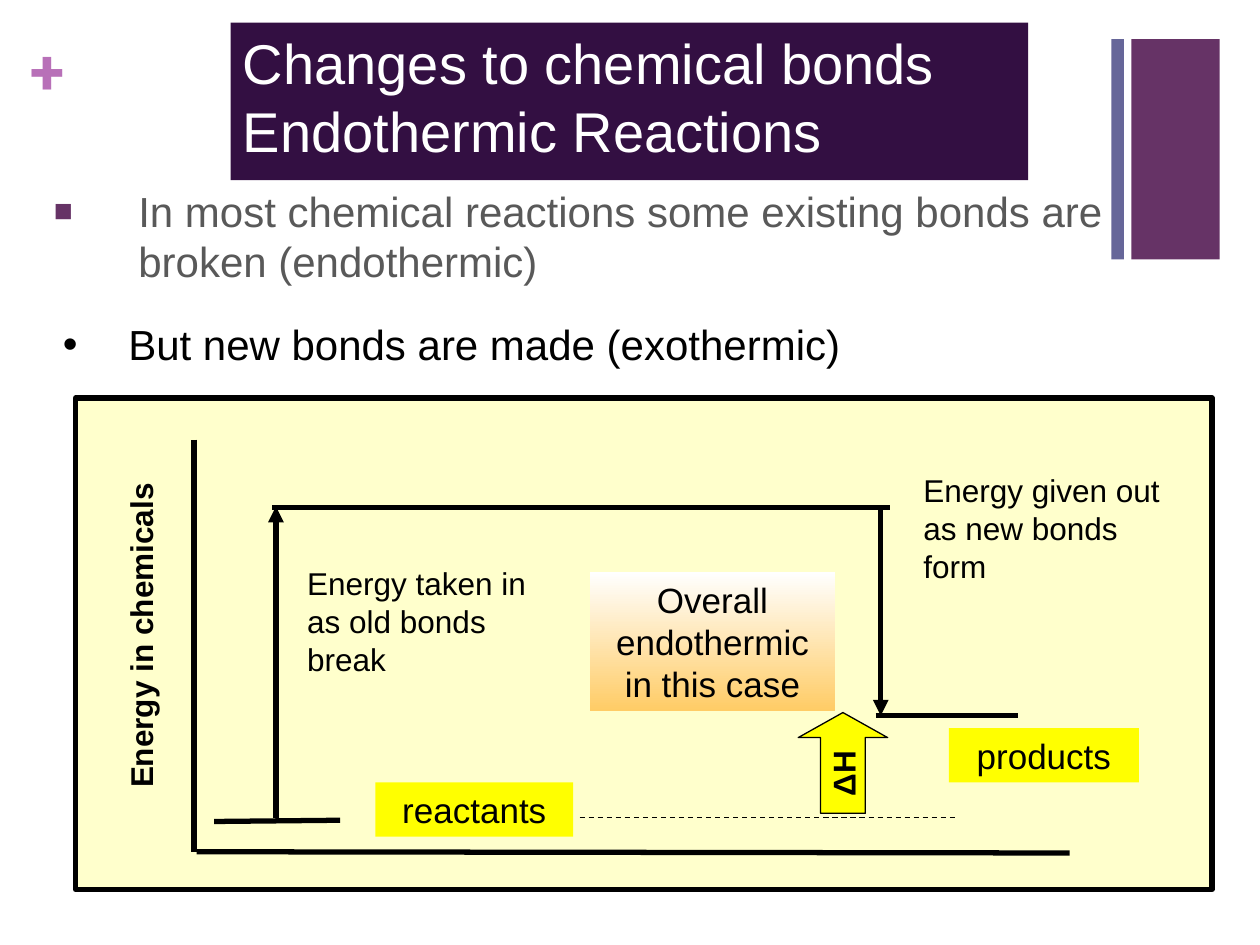
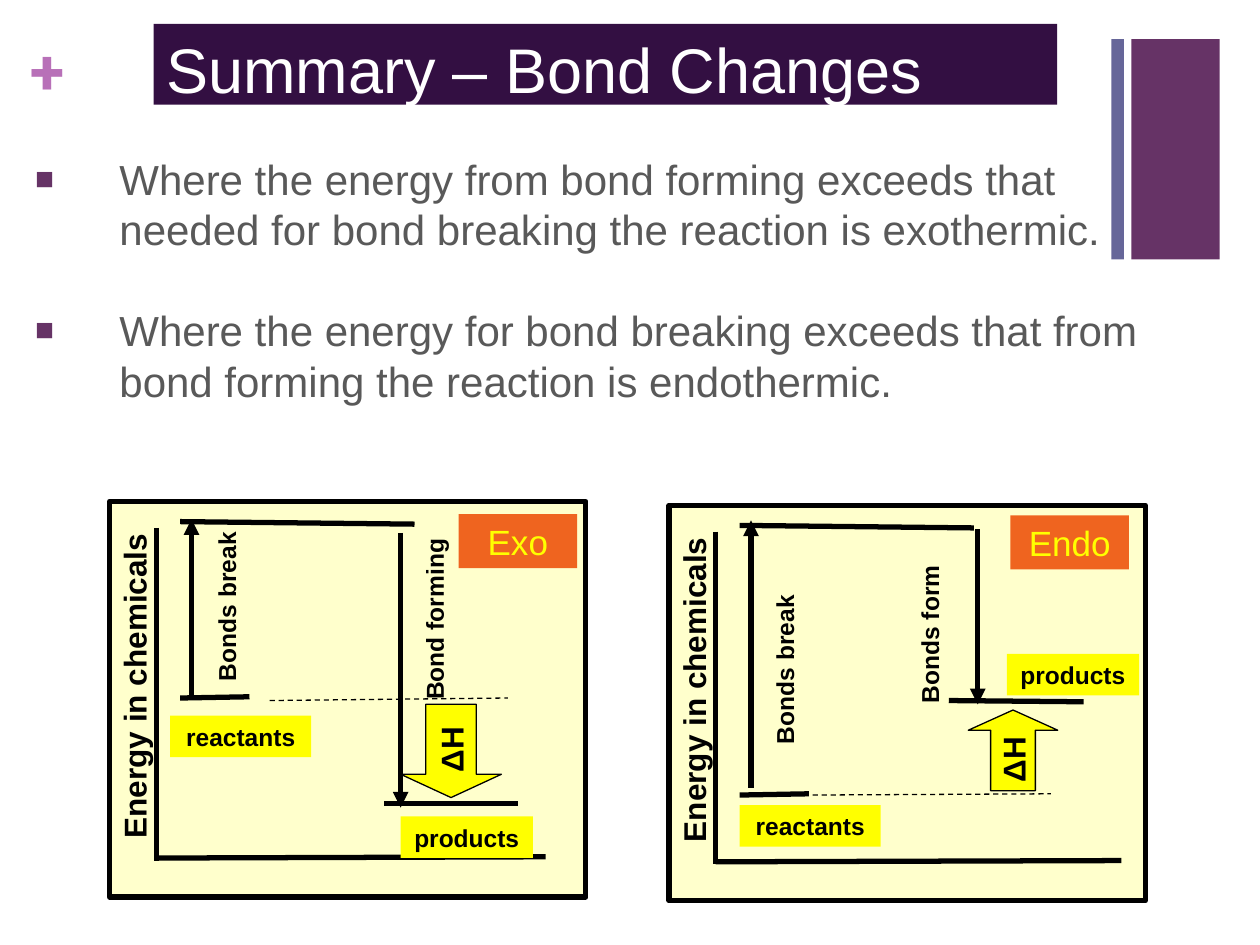
from lxml.etree import SubElement
from pptx import Presentation
from pptx.dml.color import RGBColor
from pptx.enum.dml import MSO_LINE
from pptx.enum.shapes import MSO_CONNECTOR, MSO_SHAPE
from pptx.enum.text import MSO_ANCHOR, PP_ALIGN
from pptx.oxml.ns import qn
from pptx.util import Inches, Pt

BLACK, WHITE, GREY = "000000", "FFFFFF", "595959"
PLUM, SLATE, PINK, NIGHT = "663366", "666699", "B870B8", "330F42"
CREAM, YELLOW, ORANGE, PEACH = "FFFFCC", "FFFF00", "EF641F", "FFCC66"
HEAVY, THIN = 3, 0.75
AXIS = "Energy in chemicals"


def paint(code):
    """Turn a hex string into a colour."""
    return RGBColor.from_string(code)


def apply(target, values):
    """Set each attribute named in a dict."""
    for name, value in values.items():
        setattr(target, name, value)


def place(box):
    """Turn a box in inches into lengths."""
    return [Inches(part) for part in box]


def style(para, size, color, bold=False, face="Arial"):
    """Give a paragraph its font."""
    apply(para.font, {"size": Pt(size), "bold": bold, "name": face})
    para.font.color.rgb = paint(color)


def write(shape, text, size, color=BLACK, bold=False, face="Arial",
          align=PP_ALIGN.LEFT, **frame):
    """Fill a shape with one styled paragraph."""
    apply(shape.text_frame, {"word_wrap": True, "vertical_anchor": MSO_ANCHOR.TOP,
                             "text": text, **frame})
    para = shape.text_frame.paragraphs[0]
    para.alignment = align
    style(para, size, color, bold, face)


def block(slide, box, fill, line=None, weight=THIN, kind=MSO_SHAPE.RECTANGLE):
    """Add a filled preset shape."""
    shape = slide.shapes.add_shape(kind, *place(box))
    shape.shadow.inherit = False
    shape.fill.solid()
    shape.fill.fore_color.rgb = paint(fill)
    if line:
        shape.line.color.rgb = paint(line)
        shape.line.width = Pt(weight)
    else:
        shape.line.fill.background()
    return shape


def label(slide, box, text, size, fill=YELLOW, color=BLACK, bold=False):
    """Add a filled box with centred text."""
    shape = block(slide, box, fill)
    write(shape, text, size, color, bold, align=PP_ALIGN.CENTER)
    return shape


def note(slide, box, text, size, turn=0, **looks):
    """Add a text box, turned if asked."""
    shape = slide.shapes.add_textbox(*place(box))
    shape.rotation = turn
    write(shape, text, size, **looks)


def upright(slide, box, text, size, **looks):
    """Add bold centred text that reads upward."""
    note(slide, box, text, size, 270, bold=True, align=PP_ALIGN.CENTER, **looks)


def axis(slide, box):
    """Name the energy axis."""
    upright(slide, box, AXIS, 18, word_wrap=False, vertical_anchor=MSO_ANCHOR.MIDDLE)


def line(slide, ends, weight=HEAVY, dash=None, arrow=False):
    """Draw a black line, dashed or with an arrowhead."""
    link = slide.shapes.add_connector(MSO_CONNECTOR.STRAIGHT, *place(ends))
    link.line.color.rgb = paint(BLACK)
    apply(link.line, {"width": Pt(weight), "dash_style": dash})
    if arrow:
        SubElement(link.line._ln, qn("a:tailEnd"), type="triangle")
    SubElement(link._element.spPr, qn("a:effectLst"))


def delta(slide, box, kind=MSO_SHAPE.RIGHT_ARROW, head=0.25):
    """Add the enthalpy arrow."""
    shape = block(slide, box, YELLOW, BLACK, kind=kind)
    shape.adjustments[1] = head
    shape.rotation = 270
    write(shape, "ΔH ", 18, bold=True, align=PP_ALIGN.CENTER, word_wrap=False,
          vertical_anchor=MSO_ANCHOR.MIDDLE)


def points(slide, box, texts, color=GREY, mark="■", tint=PLUM, scale=75,
           indent=0.67):
    """Add a bulleted list."""
    frame = slide.shapes.add_textbox(*place(box)).text_frame
    frame.word_wrap = True
    for index, text in enumerate(texts):
        para = frame.add_paragraph() if index else frame.paragraphs[0]
        para.text = text
        props = para._p.get_or_add_pPr()
        props.set("marL", str(Inches(indent)))
        props.set("indent", str(-Inches(indent)))
        SubElement(SubElement(props, qn("a:buClr")), qn("a:srgbClr"), val=tint)
        SubElement(props, qn("a:buSzPct"), val=str(scale * 1000))
        SubElement(props, qn("a:buFont"), typeface="Arial")
        SubElement(props, qn("a:buChar"), char=mark)
        if index:
            para.space_before = Pt(28.8)
        style(para, 24, color)


def start(deck, title, box, size):
    """Add a slide with its side bands, plus sign and title."""
    slide = deck.slides.add_slide(deck.slide_layouts[6])
    block(slide, (8.98, 0.31, 0.7, 1.75), PLUM)
    edges = dict.fromkeys(("margin_left", "margin_top", "margin_right",
                           "margin_bottom"), 0)
    note(slide, (0.24, 0.25, 0.29, 0.61), "+", 36, color=PINK, bold=True,
         face="Roboto Slab", **edges)
    block(slide, (8.82, 0.31, 0.1, 1.75), SLATE)
    write(block(slide, box, NIGHT), title, size, WHITE)
    return slide


def changes(deck):
    """Build the slide on endothermic reactions."""
    slide = start(deck, "Changes to chemical bonds\vEndothermic Reactions",
                  (1.83, 0.18, 6.33, 1.25), 32)
    block(slide, (0.6, 3.16, 9.02, 3.9), CREAM, BLACK, HEAVY)
    points(slide, (0.33, 1.42, 9.24, 1.0),
           ["In most chemical reactions some existing bonds are broken (endothermic)"])
    points(slide, (0.4, 2.48, 8.9, 0.5), ["But new bonds are made (exothermic)"],
           BLACK, "•", BLACK, 100, 0.52)
    for ends in ((2.16, 4.03, 7.06, 4.03), (1.54, 3.49, 1.54, 6.76),
                 (1.56, 6.76, 8.49, 6.77), (1.7, 6.52, 2.7, 6.51),
                 (6.95, 5.68, 8.08, 5.68)):
        line(slide, ends)
    for ends in ((2.19, 6.49, 2.19, 4.02), (6.99, 4.03, 6.99, 5.68)):
        line(slide, ends, arrow=True)
    axis(slide, (-0.52, 4.71, 3.27, 0.67))
    note(slide, (2.34, 4.43, 2.2, 1.3), "Energy taken in as old bonds break", 18)
    note(slide, (7.23, 3.69, 2.2, 1.3), "Energy given out as new bonds form", 18)
    label(slide, (2.98, 6.21, 1.57, 0.43), "reactants", 20)
    label(slide, (7.53, 5.78, 1.51, 0.43), "products", 20)
    line(slide, (4.6, 6.49, 7.6, 6.49), THIN, MSO_LINE.DASH)
    delta(slide, (6.29, 5.7, 0.8, 0.71), head=0.28)
    case = label(slide, (4.68, 4.54, 1.95, 1.1),
                 "Overall\vendothermic\vin this case", 20)
    case.fill.gradient()
    case.fill.gradient_angle = 270
    for stop, color in zip(case.fill.gradient_stops, (WHITE, PEACH)):
        stop.color.rgb = paint(color)


def graph(slide, left, top, name, tag, width, base, rise, fall, goal, dash,
          marks, words, form, arrow, kind):
    """Draw a small energy graph, placed from its top left corner."""
    def shift(x, y, *size):
        """Move a box to this graph."""
        return (left + x, top + y, *size)

    def span(x, y, end, stop):
        """Move the ends of a line to this graph."""
        return shift(x, y) + shift(end, stop)

    block(slide, shift(0, 0, 3.78, 3.14), CREAM, BLACK, HEAVY)
    for ends in ((0.56, 0.16, 2.42, 0.18), (0.37, 0.21, 0.37, 2.85),
                 (0.37, 2.83, width, 2.82), (0.56, base, 1.11, base - 0.01), goal):
        line(slide, span(*ends))
    for ends in (rise, fall):
        line(slide, span(*ends), arrow=True)
    axis(slide, shift(-1.12, 1.15, 2.63, 0.63))
    for text, spot, wide in zip(("reactants", "products"), marks, (1.12, 1.05)):
        label(slide, shift(*spot, wide, 0.33), text, 14, bold=True)
    line(slide, span(*dash), THIN, MSO_LINE.DASH)
    delta(slide, shift(*arrow), kind)
    for text, spot, wide in zip(("Bonds break", form), words, (1.59, 1.55)):
        upright(slide, shift(*spot, wide, 0.33), text, 14)
    label(slide, shift(*tag, 0.94, 0.43), name, 20, ORANGE, YELLOW)


def summary(deck):
    """Build the slide that compares both kinds of reaction."""
    slide = start(deck, "Summary – Bond Changes", (1.22, 0.19, 7.17, 0.64), 36)
    points(slide, (0.18, 1.17, 9.23, 2.3), [
        "Where the energy from bond forming exceeds that needed for bond breaking "
        "the reaction is exothermic.",
        "Where the energy for bond breaking exceeds that from bond forming the "
        "reaction is endothermic."])
    graph(slide, 0.87, 3.98, "Exo", tag=(2.77, 0.1), width=3.46, base=1.56,
          rise=(0.65, 1.55, 0.65, 0.14), fall=(2.31, 0.25, 2.31, 2.43),
          goal=(2.18, 2.4, 3.24, 2.4), dash=(1.27, 1.58, 3.16, 1.56),
          marks=((0.48, 1.7), (2.31, 2.5)), words=((0.13, 0.67), (1.8, 0.77)),
          form="Bond forming", arrow=(2.34, 1.58, 0.74, 0.8),
          kind=MSO_SHAPE.LEFT_ARROW)
    graph(slide, 5.31, 4.01, "Endo", tag=(2.71, 0.08), width=3.59, base=2.3,
          rise=(0.65, 2.24, 0.65, 0.12), fall=(2.45, 0.19, 2.45, 1.58),
          goal=(2.22, 1.55, 3.29, 1.56), dash=(1.14, 2.3, 3.03, 2.29),
          marks=((0.56, 2.38), (2.68, 1.18)), words=((0.12, 1.14), (1.29, 0.86)),
          form="Bonds form", arrow=(2.41, 1.59, 0.64, 0.71),
          kind=MSO_SHAPE.RIGHT_ARROW)


def main():
    """Build and save the deck."""
    deck = Presentation()
    apply(deck, {"slide_width": Inches(10), "slide_height": Inches(7.5)})
    changes(deck)
    summary(deck)
    deck.save("out.pptx")


if __name__ == "__main__":
    main()
